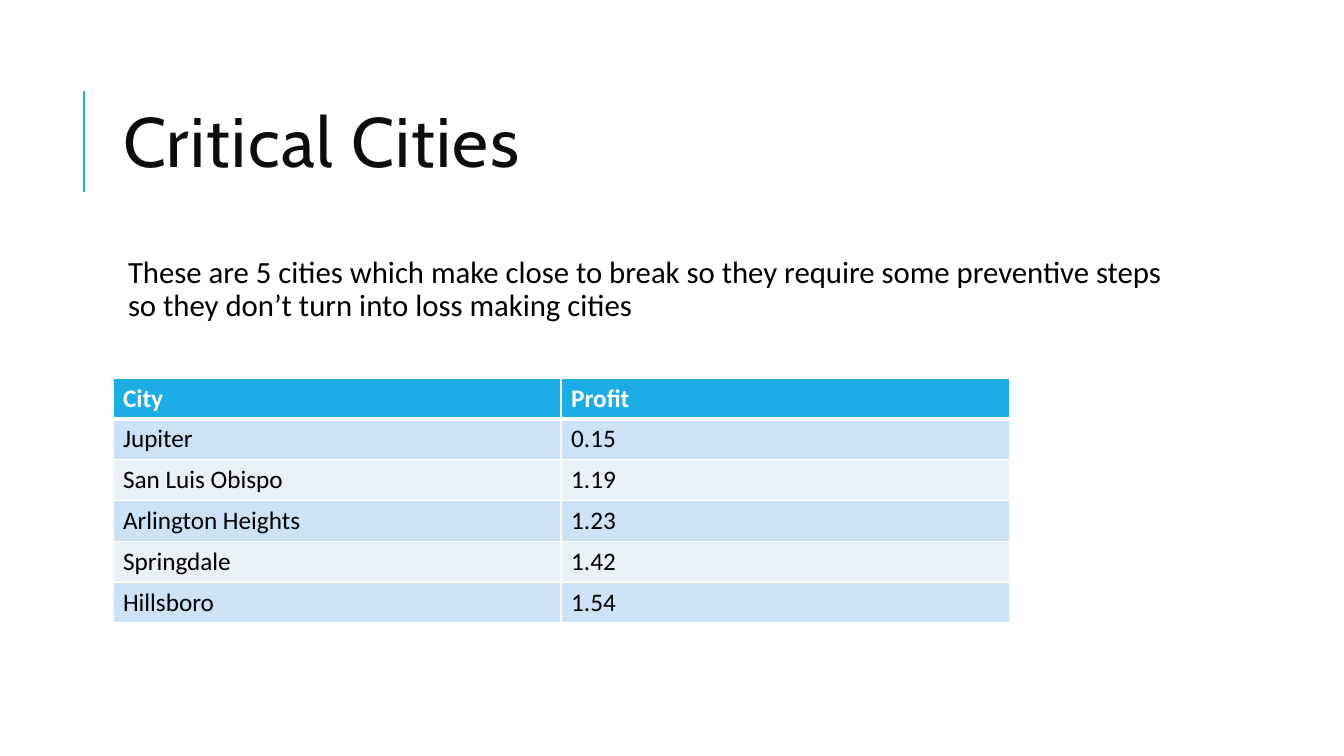
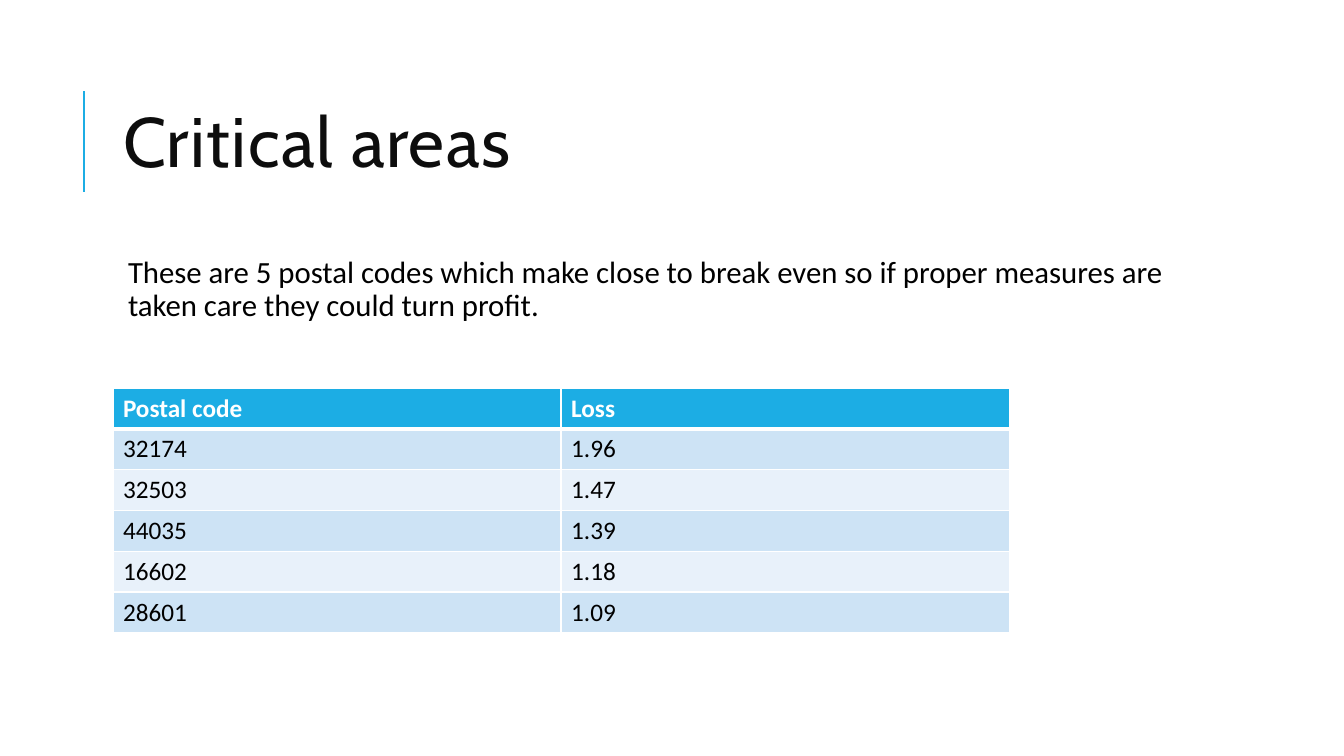
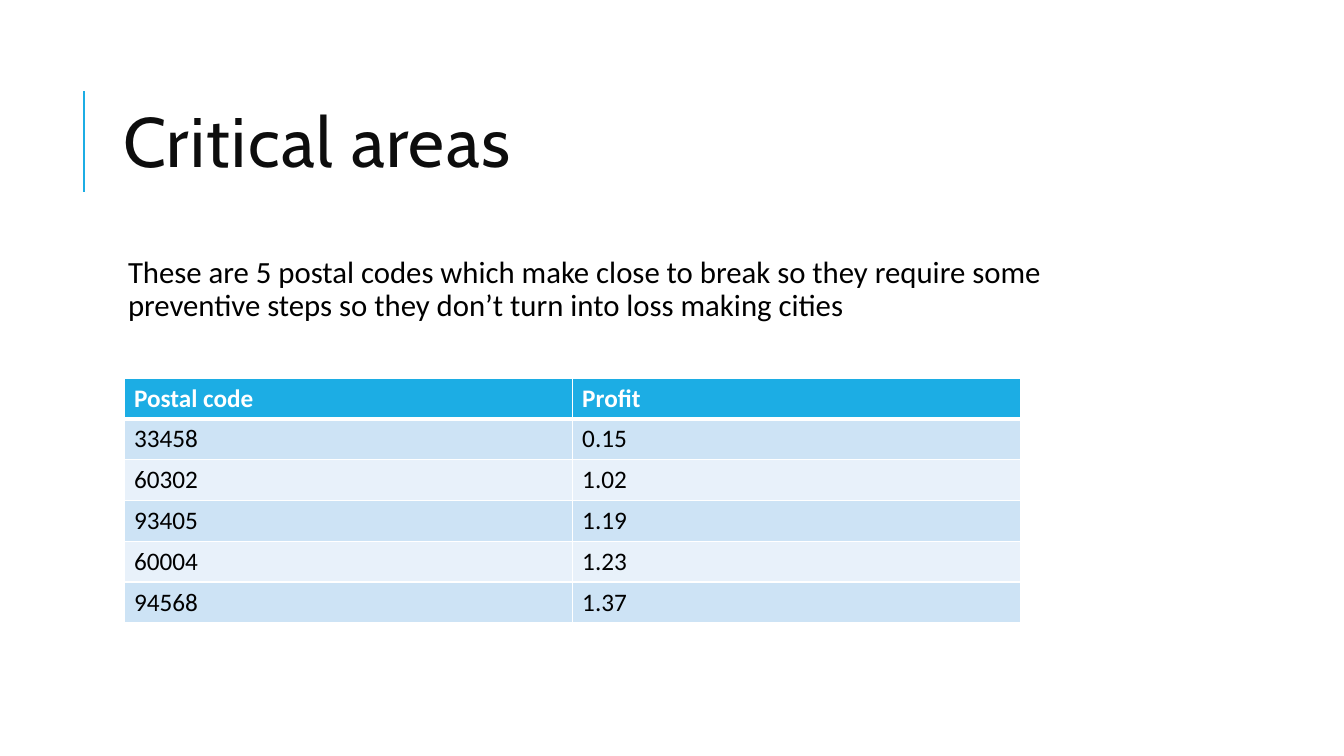
import pptx
import pptx.dml.color
import pptx.enum.shapes
import pptx.enum.text
import pptx.oxml
import pptx.oxml.ns
import pptx.util

PX = 9144
ACCENT, WHITE, BLACK, TITLE_INK = "1CADE4", "FFFFFF", "000000", "0D0D0D"
BANDS = ["CDE3F5", "E8F1FA"]
TITLE_FONT = {"name": "Cabin", "size": pptx.util.Pt(50)}
BODY_FONT = {"name": "Calibri", "size": pptx.util.Pt(22)}
CELL_FONT = {"name": "Calibri", "size": pptx.util.Pt(18)}
TITLE_PARAGRAPH = {"line_spacing": 0.8, "alignment": pptx.enum.text.PP_ALIGN.LEFT}
BODY_PARAGRAPH = {
    "line_spacing": 0.9,
    "space_before": pptx.util.Pt(12),
    "space_after": pptx.util.Pt(2),
}
TITLE_BOX = {"left": 112 * PX, "top": 64 * PX, "width": 1063 * PX, "height": 164 * PX}
BODY_FRAME = {
    "word_wrap": True,
    "margin_left": 15 * PX,
    "margin_top": 5 * PX,
    "margin_right": 5 * PX,
    "margin_bottom": 5 * PX,
}

SLIDES = [
    {
        "title": "Critical Cities",
        "body": "These are 5 cities which make close to break so they require some "
                "preventive steps so they don’t turn into loss making cities",
        "table_at": (112, 375),
        "rows": [
            ("City", "Profit"),
            ("Jupiter", "0.15"),
            ("San Luis Obispo", "1.19"),
            ("Arlington Heights", "1.23"),
            ("Springdale", "1.42"),
            ("Hillsboro", "1.54"),
        ],
    },
    {
        "title": "Critical areas",
        "body": "These are 5 postal codes which make close to break even so if proper "
                "measures are taken care they could turn profit.",
        "table_at": (112, 385),
        "rows": [
            ("Postal code", "Loss"),
            ("32174", "1.96"),
            ("32503", "1.47"),
            ("44035", "1.39"),
            ("16602", "1.18"),
            ("28601", "1.09"),
        ],
    },
    {
        "title": "Critical areas",
        "body": "These are 5 postal codes which make close to break so they require some "
                "preventive steps so they don’t turn into loss making cities",
        "table_at": (123, 375),
        "rows": [
            ("Postal code", "Profit"),
            ("33458", "0.15"),
            ("60302", "1.02"),
            ("93405", "1.19"),
            ("60004", "1.23"),
            ("94568", "1.37"),
        ],
    },
]


def rgb(color):
    return pptx.dml.color.RGBColor.from_string(color)


def apply_format(target, values, color=None):
    for name, value in values.items():
        setattr(target, name, value)
    if color:
        target.color.rgb = rgb(color)


presentation = pptx.Presentation()
presentation.slide_width = 1333 * PX
presentation.slide_height = 750 * PX
title_only = presentation.slide_layouts[5]

for content in SLIDES:
    slide = presentation.slides.add_slide(title_only)

    rule = slide.shapes.add_connector(
        pptx.enum.shapes.MSO_CONNECTOR.STRAIGHT, 83 * PX, 190 * PX, 83 * PX, 90 * PX
    )
    apply_format(rule.line, {"width": pptx.util.Pt(1.5)}, ACCENT)
    pptx.oxml.ns.qn("a:effectLst")
    rule.element.spPr.append(pptx.oxml.parse_xml(
        f'<a:effectLst {pptx.oxml.ns.nsdecls("a")}/>'
    ))

    title = slide.shapes.title
    apply_format(title, TITLE_BOX)
    title.text_frame.vertical_anchor = pptx.enum.text.MSO_ANCHOR.MIDDLE
    paragraph = title.text_frame.paragraphs[0]
    apply_format(paragraph, TITLE_PARAGRAPH)
    run = paragraph.add_run()
    run.text = content["title"]
    apply_format(run.font, TITLE_FONT, TITLE_INK)
    run.font._element.set("spc", "100")

    body = slide.shapes.add_textbox(112 * PX, 250 * PX, 1063 * PX, 440 * PX)
    apply_format(body.text_frame, BODY_FRAME)
    paragraph = body.text_frame.paragraphs[0]
    apply_format(paragraph, BODY_PARAGRAPH)
    run = paragraph.add_run()
    run.text = content["body"]
    apply_format(run.font, BODY_FONT, BLACK)

    rows = content["rows"]
    left, top = content["table_at"]
    table = slide.shapes.add_table(
        len(rows), len(rows[0]), left * PX, top * PX, 889 * PX, 243 * PX
    ).table
    for row_index, row in enumerate(rows):
        is_header = row_index == 0
        fill = ACCENT if is_header else BANDS[(row_index - 1) % 2]
        borders = {
            "lnL": 1,
            "lnR": 1,
            "lnT": 3 if row_index == 1 else 1,
            "lnB": 3 if is_header else 1,
        }
        for column_index, text in enumerate(row):
            cell = table.cell(row_index, column_index)
            run = cell.text_frame.paragraphs[0].add_run()
            run.text = text
            apply_format(run.font, {**CELL_FONT, "bold": is_header}, WHITE if is_header else BLACK)
            properties = cell._tc.get_or_add_tcPr()
            for side, points in borders.items():
                properties.append(pptx.oxml.parse_xml(
                    f'<a:{side} {pptx.oxml.ns.nsdecls("a")} w="{pptx.util.Pt(points)}">'
                    f'<a:solidFill><a:srgbClr val="{WHITE}"/></a:solidFill></a:{side}>'
                ))
            cell.fill.solid()
            cell.fill.fore_color.rgb = rgb(fill)

presentation.save("out.pptx")
